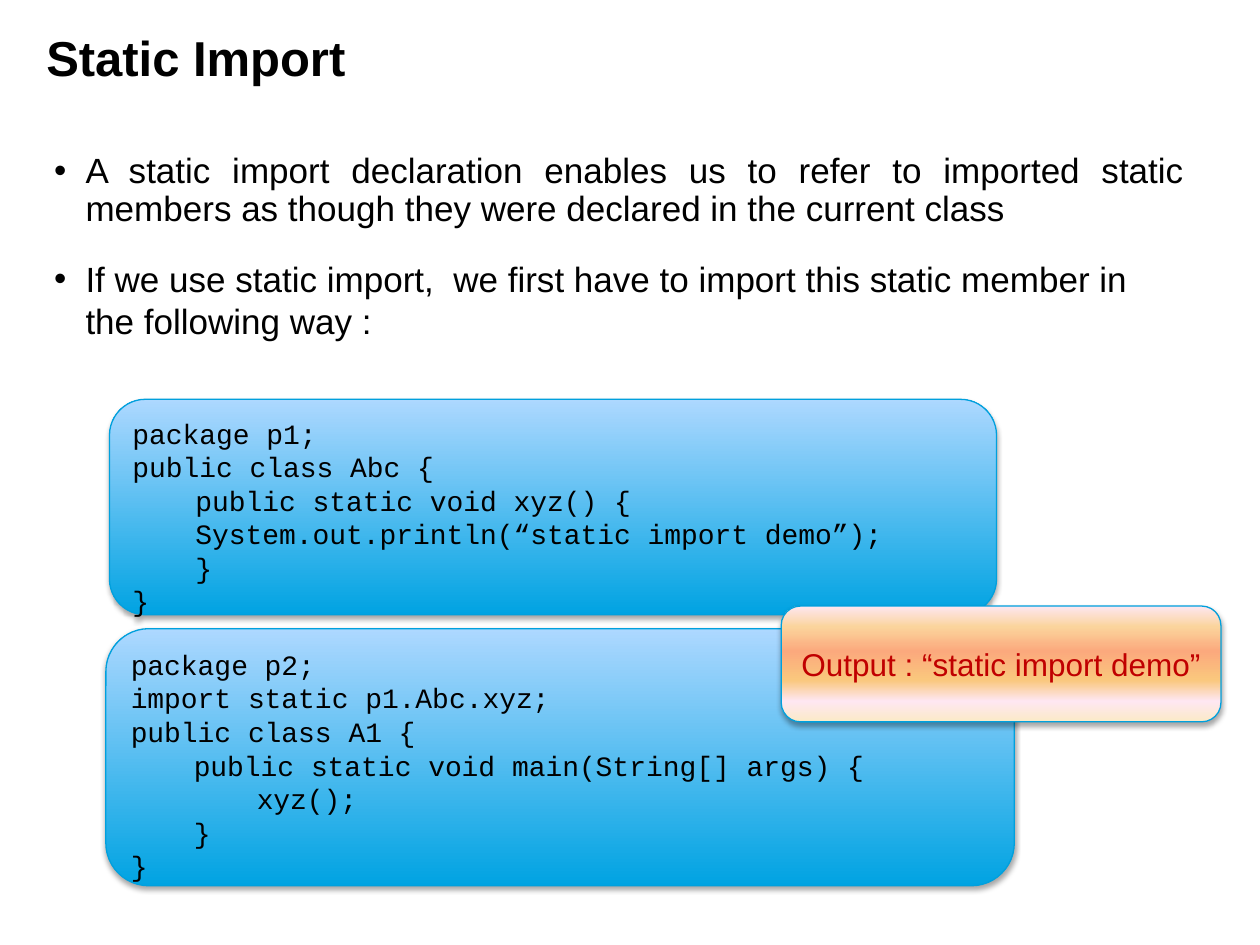
"""Build the slide that explains Java static import."""
from dataclasses import dataclass

from lxml.etree import SubElement
from pptx import Presentation
from pptx.dml.color import RGBColor as RGB
from pptx.enum.shapes import MSO_SHAPE as SHAPE
from pptx.enum.text import MSO_ANCHOR as ANCHOR, PP_ALIGN as ALIGN
from pptx.oxml.ns import qn
from pptx.util import Pt


@dataclass(frozen=True)
class Theme:
    sans: str = "Arial"
    mono: str = "Courier New"
    text: str = "000000"
    accent: str = "C00000"
    line: str = "00A0DD"
    blue: tuple = ((0, "00A3E2"), (100, "ADD8FF"))
    warm: tuple = ((0, "FBEAC7"), (18, "FEE7F2"), (36, "FAC77D"),
                   (61, "FBA97D"), (82, "FBD49C"), (100, "FEE7F2"))
    title_size: float = 28
    body_size: float = 20
    output_size: float = 18
    code_size: float = 16


@dataclass(frozen=True)
class Box:
    x: float
    y: float
    w: float
    h: float

    def points(self) -> tuple:
        return tuple(Pt(v) for v in (self.x, self.y, self.w, self.h))


@dataclass(frozen=True)
class Style:
    font: str
    size: float
    color: str
    bold: bool = False


@dataclass(frozen=True)
class Bullet:
    text: str
    before: float
    spacing: float
    align: ALIGN


@dataclass(frozen=True)
class Panel:
    box: Box
    lines: tuple
    stops: tuple
    style: Style
    align: ALIGN = ALIGN.LEFT
    anchor: ANCHOR = ANCHOR.TOP


T = Theme()
TITLE = Style(T.sans, T.title_size, T.text, True)
BODY = Style(T.sans, T.body_size, T.text)
CODE = Style(T.mono, T.code_size, T.text)
OUTPUT = Style(T.sans, T.output_size, T.accent)

BULLETS = (
    Bullet("A static import declaration enables us to refer to imported static "
           "members as though they were declared in the current class",
           4, 0.9, ALIGN.JUSTIFY),
    Bullet("If we use static import,  we first have to import this static "
           "member in the following way :", 16, 1, ALIGN.LEFT),
)

PANELS = (
    Panel(Box(62.6, 228.2, 506.9, 123.1), (
        "package p1;",
        "public class Abc {",
        "\tpublic static void xyz() {",
        "\tSystem.out.println(“static import demo”);",
        "\t}",
        "}"), T.blue, CODE),
    Panel(Box(60.5, 359.3, 519.1, 146.9), (
        "package p2;",
        "import static p1.Abc.xyz;",
        "public class A1 {",
        "\tpublic static void main(String[] args) {",
        "\t\txyz();",
        "\t}",
        "}"), T.blue, CODE),
    Panel(Box(446.4, 346.3, 251.3, 66.2), ("Output : “static import demo”",),
          T.warm, OUTPUT, ALIGN.CENTER, ANCHOR.MIDDLE),
)


def add_run(p, text: str, style: Style) -> None:
    r = p.add_run()
    r.text = text
    r.font.name = style.font
    r.font.size = Pt(style.size)
    r.font.bold = style.bold
    r.font.color.rgb = RGB.from_string(style.color)


def next_paragraph(tf, index: int):
    return tf.add_paragraph() if index else tf.paragraphs[0]


def add_text_frame(s, box: Box):
    tf = s.shapes.add_textbox(*box.points()).text_frame
    tf.word_wrap = True
    return tf


def add_bullets(s, box: Box, bullets: tuple) -> None:
    tf = add_text_frame(s, box)
    for i, bullet in enumerate(bullets):
        p = next_paragraph(tf, i)
        p.alignment = bullet.align
        p.line_spacing = bullet.spacing
        p.space_before = Pt(bullet.before)
        props = p._p.get_or_add_pPr()
        props.set("marL", str(Pt(18)))
        props.set("indent", str(-Pt(18)))
        SubElement(props, qn("a:buFont"), typeface=T.sans)
        SubElement(props, qn("a:buChar"), char="•")
        add_run(p, bullet.text, BODY)


def set_gradient(sp, stops: tuple) -> None:
    sp.fill.gradient()
    grad = sp._element.spPr.find(qn("a:gradFill"))
    for child in list(grad):
        grad.remove(child)
    gs_list = SubElement(grad, qn("a:gsLst"))
    for percent, color in stops:
        gs = SubElement(gs_list, qn("a:gs"), pos=str(percent * 1000))
        SubElement(gs, qn("a:srgbClr"), val=color)
    SubElement(grad, qn("a:lin"), ang=str(270 * 60000), scaled="0")


def set_shadow(sp) -> None:
    sp.shadow.inherit = False
    effects = sp._element.spPr.find(qn("a:effectLst"))
    shadow = SubElement(effects, qn("a:outerShdw"), blurRad=str(Pt(3.1)),
                        dist=str(Pt(1.8)), dir=str(90 * 60000), rotWithShape="0")
    color = SubElement(shadow, qn("a:srgbClr"), val=T.text)
    SubElement(color, qn("a:alpha"), val="35000")


def add_panel(s, panel: Panel) -> None:
    sp = s.shapes.add_shape(SHAPE.ROUNDED_RECTANGLE, *panel.box.points())
    set_gradient(sp, panel.stops)
    sp.line.color.rgb = RGB.from_string(T.line)
    sp.line.width = Pt(0.75)
    set_shadow(sp)
    tf = sp.text_frame
    tf.word_wrap = True
    tf.vertical_anchor = panel.anchor
    for i, line in enumerate(panel.lines):
        p = next_paragraph(tf, i)
        p.alignment = panel.align
        add_run(p, line, panel.style)


def main() -> None:
    prs = Presentation()
    prs.slide_width, prs.slide_height = Pt(720), Pt(540)
    s = prs.slides.add_slide(prs.slide_layouts[6])
    add_bullets(s, Box(23.8, 84.2, 660.2, 424.1), BULLETS)
    title = add_text_frame(s, Box(19.4, 12.2, 595.4, 41))
    add_run(title.paragraphs[0], "Static Import", TITLE)
    for panel in PANELS:
        add_panel(s, panel)
    prs.save("out.pptx")


if __name__ == "__main__":
    main()
